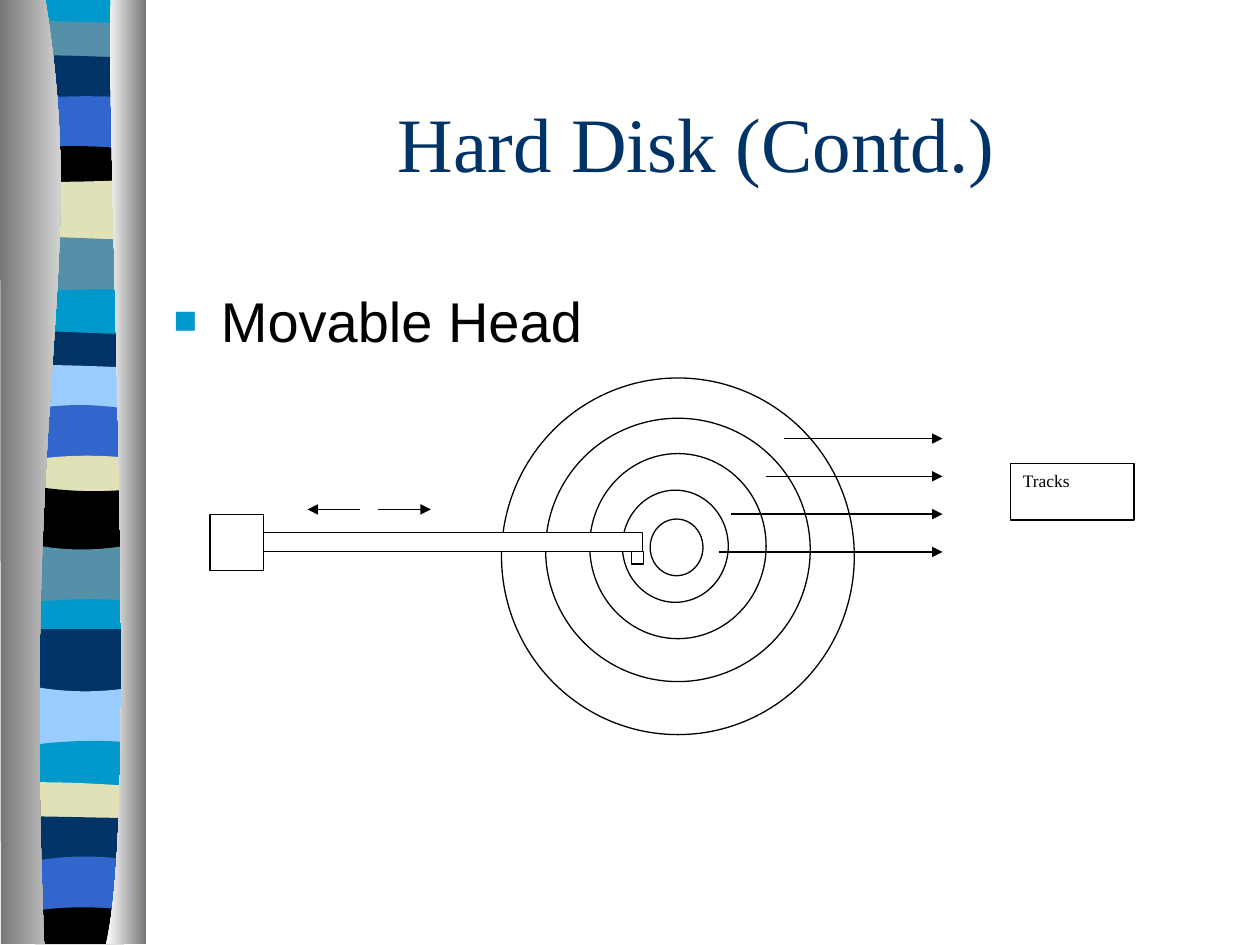
from dataclasses import dataclass

from lxml.etree import SubElement
from pptx import Presentation
from pptx.dml.color import RGBColor
from pptx.enum.shapes import MSO_CONNECTOR, MSO_SHAPE
from pptx.enum.text import MSO_ANCHOR, PP_ALIGN
from pptx.oxml.ns import qn
from pptx.util import Pt


@dataclass(frozen=True)
class Theme:
    white: str = "FFFFFF"
    black: str = "000000"
    gray: str = "767676"
    navy: str = "003366"
    blue: str = "3366CC"
    cyan: str = "0099CC"
    teal: str = "5490A8"
    light: str = "99CCFF"
    beige: str = "E1E1B7"
    serif: str = "Times New Roman"
    sans: str = "Arial"
    title_size: int = 44
    body_size: int = 32
    label_size: int = 10
    line_width: float = 0.75


def rgb(value):
    return RGBColor.from_string(value)


def write(tf, text, font, size, color, align=PP_ALIGN.LEFT,
          anchor=MSO_ANCHOR.TOP, bullet=None):
    """Fill a text frame with one formatted paragraph."""
    tf.word_wrap = True
    tf.vertical_anchor = anchor
    p = tf.paragraphs[0]
    p.alignment = align
    p.space_before = Pt(0)
    if bullet:
        pPr = p._p.get_or_add_pPr()
        pPr.set("marL", str(Pt(27)))
        pPr.set("indent", str(Pt(-27)))
        SubElement(SubElement(pPr, qn("a:buClr")), qn("a:srgbClr"), val=bullet)
        SubElement(pPr, qn("a:buSzPct"), val="70000")
        SubElement(pPr, qn("a:buFont"), typeface=font)
        SubElement(pPr, qn("a:buChar"), char="■")
    r = p.add_run()
    r.text = text
    r.font.name, r.font.size = font, Pt(size)
    r.font.color.rgb = rgb(color)


class Deck:
    def __init__(self, prs, theme):
        self.theme = theme
        self.s = prs.slides.add_slide(prs.slide_layouts[1])

    def placeholder(self, index, x, y, w, h, text, **style):
        sp = self.s.placeholders[index]
        sp.left, sp.top, sp.width, sp.height = map(Pt, (x, y, w, h))
        write(sp.text_frame, text, **style)

    def shape(self, kind, x, y, w, h):
        sp = self.s.shapes.add_shape(kind, Pt(x), Pt(y), Pt(w), Pt(h))
        sp.shadow.inherit = False
        sp.fill.solid()
        sp.fill.fore_color.rgb = rgb(self.theme.white)
        sp.line.color.rgb = rgb(self.theme.black)
        sp.line.width = Pt(self.theme.line_width)
        return sp

    def curved(self, curve, corners, *colors):
        """Area closed by a cubic curve and two corners.

        One colour is solid, two run from left to right.
        """
        start, *rest = [(Pt(x), Pt(y)) for x, y in curve + corners]
        builder = self.s.shapes.build_freeform(*start)
        builder.add_line_segments(rest, close=True)
        sp = builder.convert_to_shape()
        # Turn the first three segments into one cubic curve
        lines = list(sp._element.iter(qn("a:lnTo")))[:3]
        cubic = SubElement(lines[0].getparent(), qn("a:cubicBezTo"))
        lines[0].addprevious(cubic)
        for line in lines:
            cubic.append(line[0])
            line.getparent().remove(line)
        sp.shadow.inherit = False
        sp.line.fill.background()
        if len(colors) == 1:
            sp.fill.solid()
            sp.fill.fore_color.rgb = rgb(colors[0])
        else:
            sp.fill.gradient()
            sp.fill.gradient_angle = 0
            for stop, color in zip(sp.fill.gradient_stops, colors):
                stop.color.rgb = rgb(color)

    def arrow(self, x1, x2, y):
        line = self.s.shapes.add_connector(
            MSO_CONNECTOR.STRAIGHT, Pt(x1), Pt(y), Pt(x2), Pt(y))
        line.line.color.rgb = rgb(self.theme.black)
        line.line.width = Pt(self.theme.line_width)
        SubElement(line.line._get_or_add_ln(), qn("a:tailEnd"), type="triangle")
        SubElement(line._element.spPr, qn("a:effectLst"))


def draw_ribbon(deck):
    t = deck.theme
    bottom, left, right = 539.5, 20, 71
    third = (right - left) / 3
    # Heights of each band's top edge: left, middle, right
    bands = [
        (t.cyan, 0, 0, 0), (t.teal, 12, 12.5, 13.5),
        (t.navy, 31.5, 32, 33), (t.blue, 56, 55, 55.5),
        (t.black, 84.5, 83.5, 85), (t.beige, 104, 103.8, 103),
        (t.teal, 135, 136, 137), (t.cyan, 166, 165.5, 165.5),
        (t.navy, 189, 190, 191), (t.light, 208.5, 209, 210),
        (t.blue, 233.5, 231.5, 233.5), (t.beige, 262.5, 260.5, 261.5),
        (t.black, 278, 280.5, 280), (t.teal, 311.5, 314, 312),
        (t.cyan, 344, 342.5, 343), (t.navy, 359.5, 359.5, 359.5),
        (t.light, 392.5, 395, 393.5), (t.cyan, 425.5, 423.5, 424),
        (t.beige, 447, 447.5, 449), (t.navy, 466.5, 467, 467.5),
        (t.blue, 492, 489.5, 491), (t.black, 520.5, 518.5, 520),
    ]
    # Each band reaches just below the top edge of the next
    bases = [max(edge) + 2 for _, *edge in bands[1:]] + [bottom]
    for (color, a, b, c), base in zip(bands, bases):
        edge = [(left, a), (left + third, (4 * b - c) / 3),
                (right - third, (4 * b - a) / 3), (right, c)]
        deck.curved(edge, [(right, base), (left, base)], color)

    # Shaded covers with wavy inner edges
    deck.curved([(25.9, 0), (51.1, 155.5), (12.2, 213), (25.2, bottom)],
                [(0.5, bottom), (0, 0)], t.gray, t.white)
    deck.curved([(63.4, 0), (60.5, 90), (79.9, 465), (60.5, bottom)],
                [(83.5, bottom), (83.5, 0)], t.white, t.gray)


def draw_disk(deck):
    t = deck.theme
    # Tracks, outermost first
    for ring in [(286.6, 216, 201.6, 203.8), (311.8, 239, 151.2, 150.5),
                 (337, 259.2, 100.8, 105.8), (355.7, 280.1, 60.5, 64.1),
                 (371.5, 296.6, 30.2, 32.4)]:
        deck.shape(MSO_SHAPE.OVAL, *ring)

    # Motor, arm and head
    for part in [(120, 293.8, 30.5, 32.4), (150.5, 304.4, 216.7, 10.8),
                 (360.7, 315.2, 7.2, 7.2)]:
        deck.shape(MSO_SHAPE.RECTANGLE, *part)

    # Track pointers and their label
    for i, x in enumerate([447.8, 437.8, 417.6, 411.1]):
        deck.arrow(x, 538.6, 250.6 + 21.6 * i)
    label = deck.shape(MSO_SHAPE.RECTANGLE, 577.4, 264.8, 70.6, 32.4)
    write(label.text_frame, "Tracks", font=t.serif, size=t.label_size,
          color=t.black)

    # Arm movement
    deck.arrow(205.9, 175.7, 291.1)
    deck.arrow(216, 246.2, 291.1)


def main():
    prs = Presentation()
    prs.slide_width, prs.slide_height = Pt(720), Pt(540)
    t = Theme()
    deck = Deck(prs, t)
    draw_ribbon(deck)
    deck.placeholder(0, 92, 36, 612, 90, "Hard Disk (Contd.)", font=t.serif,
                     size=t.title_size, color=t.navy, align=PP_ALIGN.CENTER,
                     anchor=MSO_ANCHOR.MIDDLE)
    deck.placeholder(1, 92, 160, 612, 320, "Movable Head", font=t.sans,
                     size=t.body_size, color=t.black, bullet=t.cyan)
    draw_disk(deck)
    prs.save("out.pptx")


if __name__ == "__main__":
    main()
